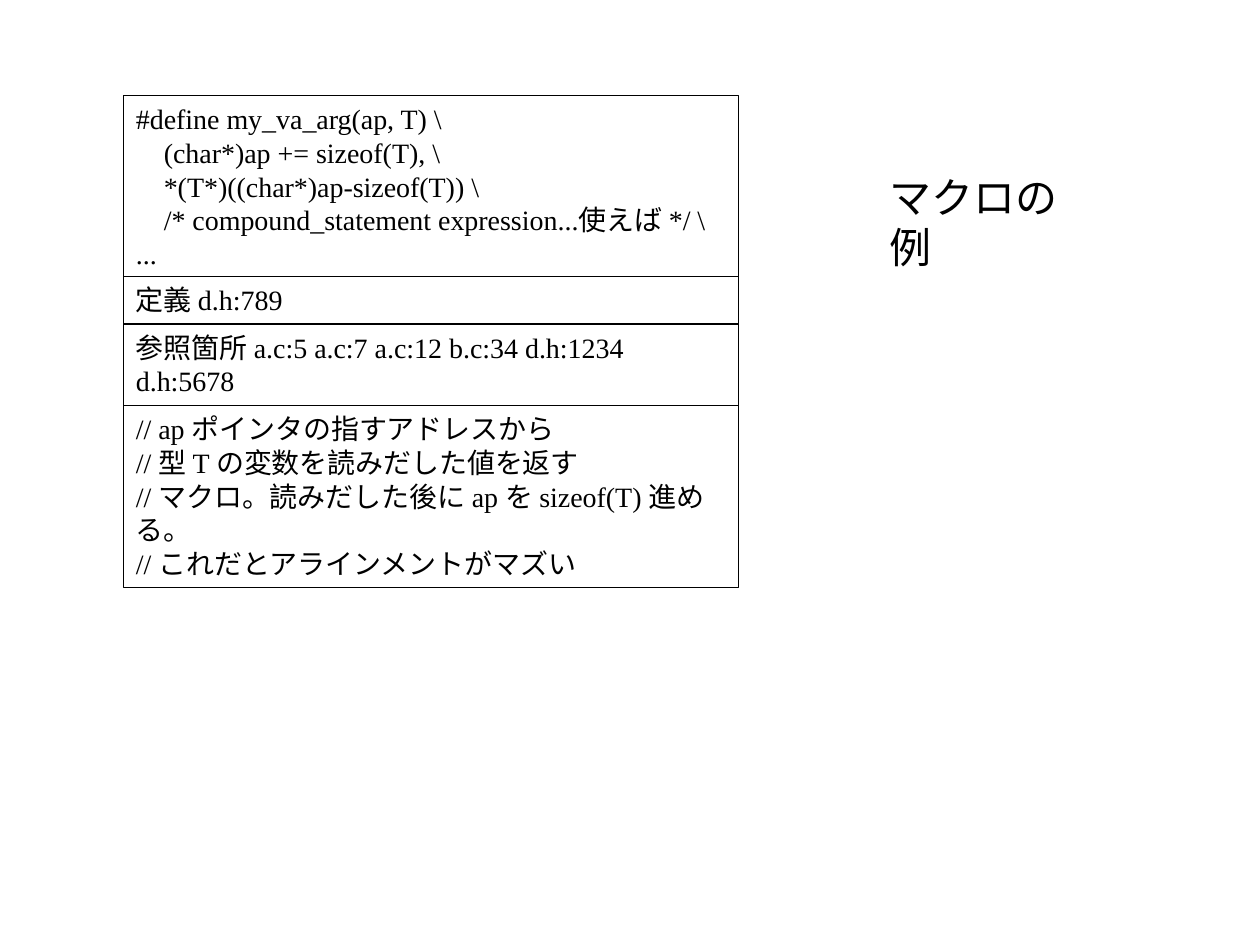
import pptx
import pptx.dml.color
import pptx.enum.shapes
import pptx.enum.text
import pptx.util

Cm = pptx.util.Cm
Pt = pptx.util.Pt


def color(hex_string):
    return pptx.dml.color.RGBColor.from_string(hex_string)


class MacroSlide:
    font = "Times New Roman"
    ink = "000000"
    title_size = 24
    body_size = 16
    line_width = 0.75

    def __init__(self, presentation):
        title_only = presentation.slide_layouts[5]
        self.slide = presentation.slides.add_slide(title_only)

    def fill_text(self, shape, lines, size, wrap):
        frame = shape.text_frame
        frame.word_wrap = wrap
        frame.auto_size = pptx.enum.text.MSO_AUTO_SIZE.SHAPE_TO_FIT_TEXT
        frame.vertical_anchor = pptx.enum.text.MSO_ANCHOR.TOP
        for number, line in enumerate(lines):
            paragraph = frame.add_paragraph() if number else frame.paragraphs[0]
            paragraph.alignment = pptx.enum.text.PP_ALIGN.LEFT
            run = paragraph.add_run()
            run.text = line
            run.font.name = self.font
            run.font.size = Pt(size)
            run.font.color.rgb = color(self.ink)

    def title(self, text, left, top, width, height):
        heading = self.slide.shapes.title
        heading.left, heading.top = Cm(left), Cm(top)
        heading.width, heading.height = Cm(width), Cm(height)
        self.fill_text(heading, [text], self.title_size, wrap=False)

    def box(self, lines, left, top, width, height):
        outline = self.slide.shapes.add_shape(
            pptx.enum.shapes.MSO_SHAPE.RECTANGLE,
            Cm(left), Cm(top), Cm(width), Cm(height))
        outline.shadow.inherit = False
        outline.fill.background()
        outline.line.color.rgb = color(self.ink)
        outline.line.width = Pt(self.line_width)
        self.fill_text(outline, lines, self.body_size, wrap=True)

    def stack(self, sections, left, top, width):
        """Draw boxes one directly under another."""
        for height, lines in sections:
            self.box(lines, left, top, width, height)
            top += height


SECTIONS = [
    (3.64, [
        "#define my_va_arg(ap, T) \\",
        "    (char*)ap += sizeof(T), \\",
        "    *(T*)((char*)ap-sizeof(T)) \\",
        "    /* compound_statement expression...使えば */ \\",
        "...",
    ]),
    (0.96, ["定義 d.h:789"]),
    (1.65, [
        "参照箇所 a.c:5 a.c:7 a.c:12 b.c:34 d.h:1234",
        "d.h:5678",
    ]),
    (3.66, [
        "// ap ポインタの指すアドレスから",
        "// 型 T の変数を読みだした値を返す",
        "// マクロ。読みだした後に ap を sizeof(T) 進める。",
        "// これだとアラインメントがマズい",
    ]),
]


def main():
    presentation = pptx.Presentation()
    presentation.slide_width = Cm(25.4)
    presentation.slide_height = Cm(19.05)
    macro = MacroSlide(presentation)
    macro.title("マクロの例", left=17.68, top=3.33, width=4.72, height=1.27)
    macro.stack(SECTIONS, left=2.49, top=1.93, width=12.4)
    presentation.save("out.pptx")


if __name__ == "__main__":
    main()
